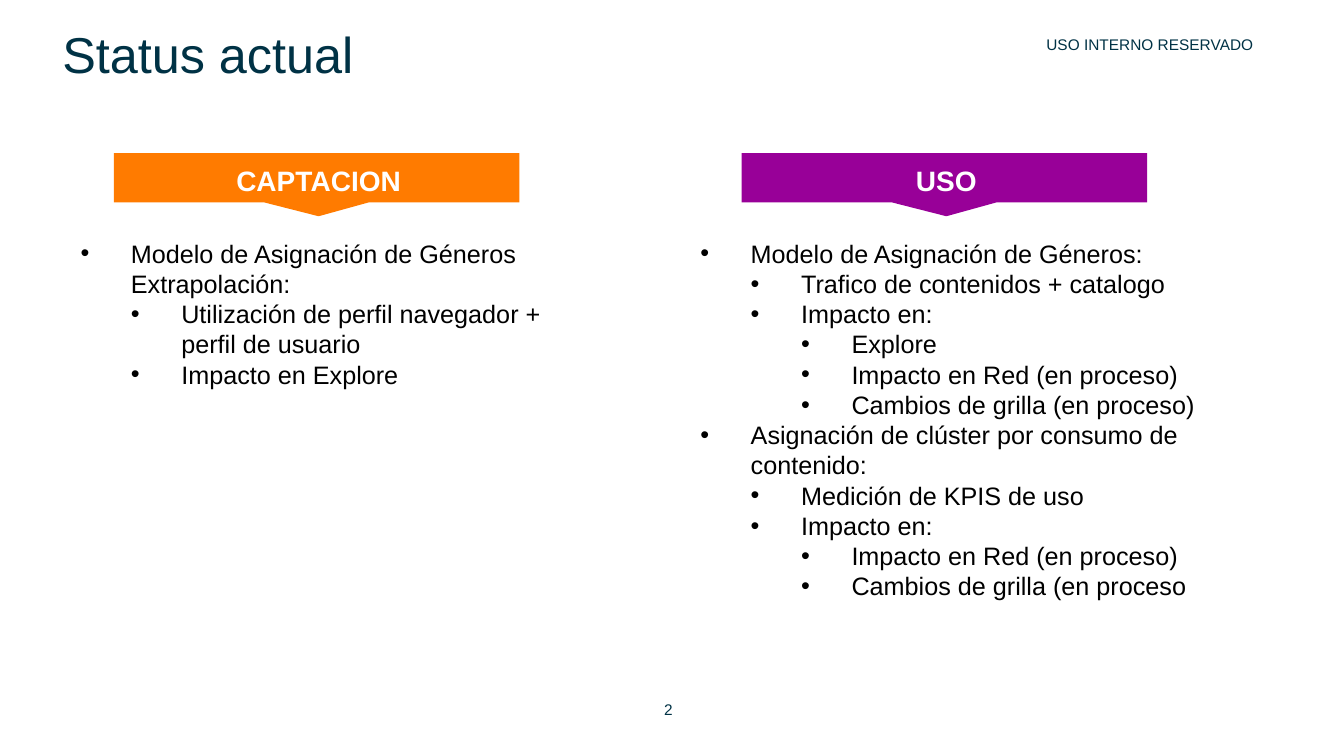
from pptx import Presentation
from pptx.dml.color import RGBColor as Rgb
from pptx.enum.text import MSO_ANCHOR as Anchor, PP_ALIGN as Align
from pptx.oxml.ns import qn
from pptx.util import Cm, Pt
from lxml.etree import SubElement as Sub

NAVY, WHITE, BLACK = "003245", "FFFFFF", "000000"
STEP = 1.27  # indent of one bullet level, cm

USES = [
    (0, "Modelo de Asignación de Géneros:"),
    (1, "Trafico de contenidos + catalogo"),
    (1, "Impacto en:"),
    (2, "Explore"),
    (2, "Impacto en Red (en proceso)"),
    (2, "Cambios de grilla (en proceso)"),
    (0, "Asignación de clúster por consumo de contenido:"),
    (1, "Medición de KPIS de uso"),
    (1, "Impacto en:"),
    (2, "Impacto en Red (en proceso)"),
    (2, "Cambios de grilla (en proceso"),
]
GAINS = [
    (0, "Modelo de Asignación de Géneros Extrapolación:"),
    (1, "Utilización de perfil navegador + perfil de usuario"),
    (1, "Impacto en Explore"),
]


def color(code):
    return Rgb.from_string(code)


def style(font, size, code, bold=False):
    font.name = "Arial"
    font.size = Pt(size)
    font.bold = bold
    font.color.rgb = color(code)


def add_text(slide, box, text, size, code, inset=(0, 0), bold=False, wrap=True):
    shape = slide.shapes.add_textbox(*map(Cm, box))
    frame = shape.text_frame
    frame.word_wrap = wrap
    frame.margin_left = frame.margin_right = Cm(inset[0])
    frame.margin_top = frame.margin_bottom = Cm(inset[1])
    frame.text = text
    for par in frame.paragraphs:
        for run in par.runs:
            style(run.font, size, code, bold)
    return frame


def add_banner(slide, left, top, title, fill):
    # Bar with a pointer below it
    width, bar, tip = 10.22, 1.24, 5.16
    points = [(width, 0), (width, bar), (6.43, bar), (tip, 1.59), (3.78, bar), (0, bar)]
    pen = slide.shapes.build_freeform(Cm(left), Cm(top))
    pen.add_line_segments([(Cm(left + x), Cm(top + y)) for x, y in points])
    shape = pen.convert_to_shape()
    shape.shadow.inherit = False
    shape.fill.solid()
    shape.fill.fore_color.rgb = color(fill)
    shape.line.fill.background()

    # Title centred over the tip
    span = 4.4
    box = (left + tip - span / 2, top + 0.25, span, 0.86)
    frame = add_text(slide, box, title, 20, WHITE, bold=True)
    frame.paragraphs[0].alignment = Align.CENTER


def add_list(slide, box, items):
    text = "\n".join(line for _, line in items)
    frame = add_text(slide, box, text, 18, BLACK, (0.25, 0.13))
    for par, (level, _) in zip(frame.paragraphs, items):
        par.level = level
        par.line_spacing = Pt(21.6)
        props = par._p.get_or_add_pPr()
        props.set("marL", str(Cm(STEP * (level + 1))))
        props.set("indent", str(-Cm(STEP)))
        Sub(props, qn("a:buFont")).set("typeface", "Arial")
        Sub(props, qn("a:buChar")).set("char", "•")


def add_head(slide, left, top):
    title = add_text(slide, (left, top, 30.48, 1.8), "Status actual", 36, NAVY, (0.25, 0.13))
    title.vertical_anchor = Anchor.BOTTOM
    add_text(slide, (left + 24.72, top + 0.28, 6.98, 1.63),
             "USO INTERNO RESERVADO", 11, NAVY, (0.33, 0.18))


def add_foot(slide, left, top):
    add_text(slide, (left, top, 0.79, 0.48), "2", 11, NAVY, wrap=False)


def main():
    deck = Presentation()
    deck.slide_width, deck.slide_height = Cm(33.87), Cm(19.05)
    slide = deck.slides.add_slide(deck.slide_layouts[6])

    add_head(slide, 1.32, 0.43)
    columns = [
        (2.87, "CAPTACION", "FF7B00", (1.78, 5.87, 13.06, 4.11), GAINS),
        (18.69, "USO", "980098", (17.4, 5.87, 13.06, 9.5), USES),
    ]
    for left, title, fill, box, items in columns:
        add_banner(slide, left, 3.86, title, fill)
        add_list(slide, box, items)
    add_foot(slide, 16.74, 17.63)

    deck.save("out.pptx")


if __name__ == "__main__":
    main()
